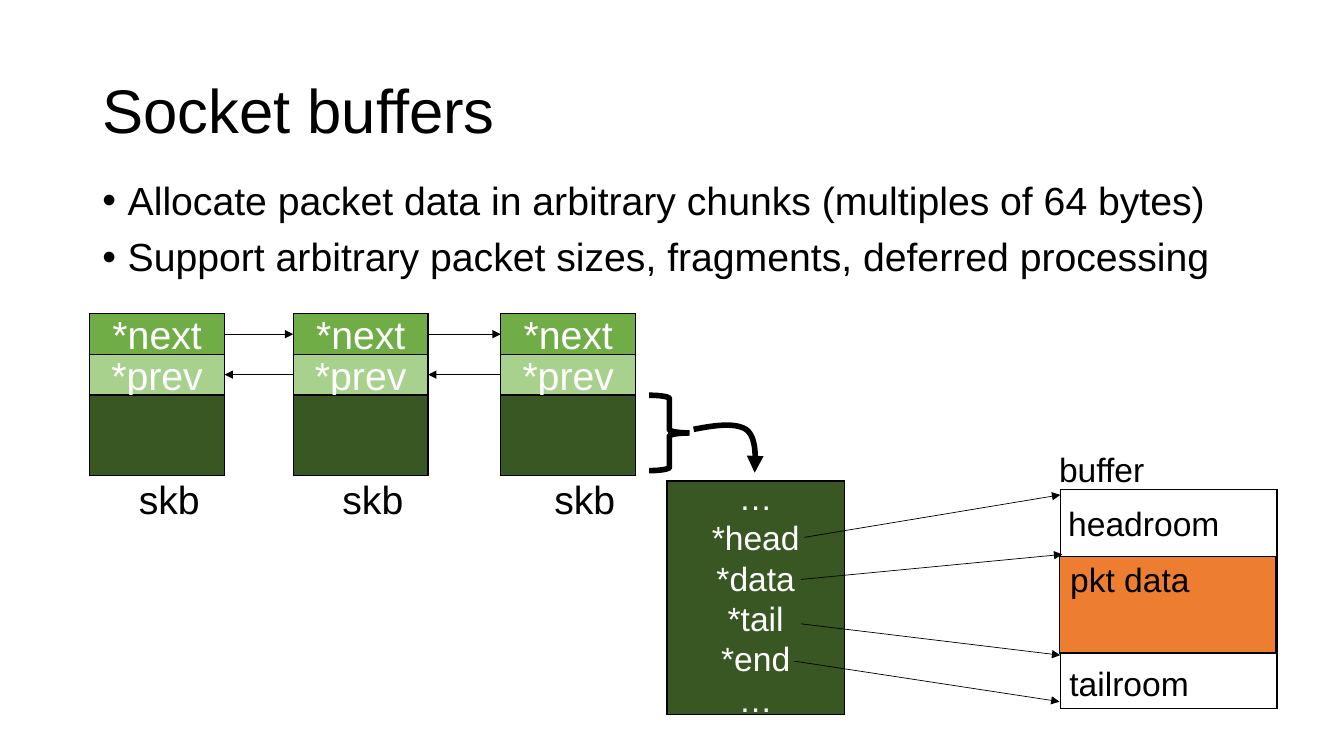
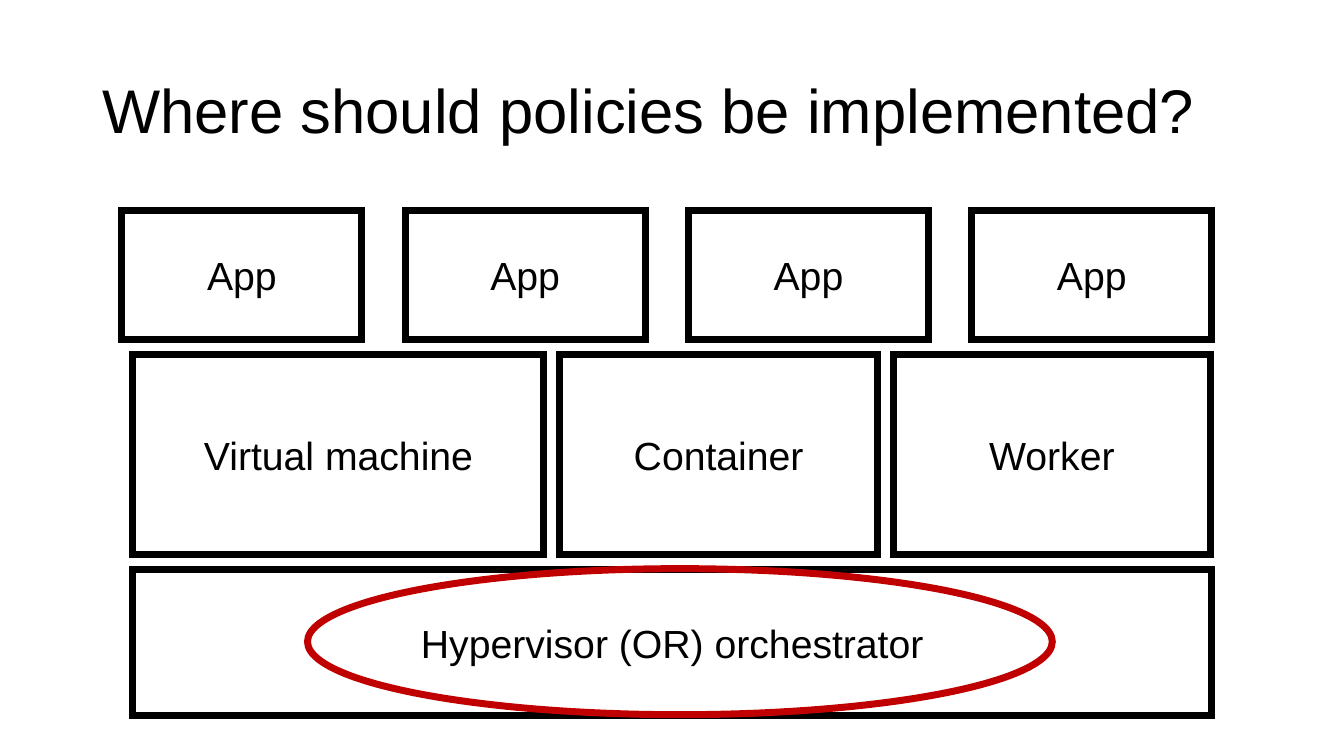
"""Build two slides: socket buffer structure and where to implement policies."""
from lxml.etree import SubElement
from pptx import Presentation
from pptx.dml.color import RGBColor
from pptx.enum.shapes import MSO_CONNECTOR, MSO_SHAPE
from pptx.enum.text import MSO_ANCHOR, PP_ALIGN
from pptx.oxml.ns import qn
from pptx.util import Cm, Pt

FONT = "Arial"
COLORS = {
    "black": "000000",
    "white": "FFFFFF",
    "next": "70AD47",
    "prev": "A9D18E",
    "skb": "385723",
    "packet": "ED7D31",
    "highlight": "C00000",
}

BUFFER_TITLE = "Socket buffers"
BULLETS = [
    "Allocate packet data in arbitrary chunks (multiples of 64 bytes)",
    "Support arbitrary packet sizes, fragments, deferred processing",
]
SKB_WIDTH = 3.4
SKBS = [(2.26, 3.25), (7.39, 8.38), (12.62, 13.72)]
SKB_PARTS = [("*next", "next", 7.9, 1.03), ("*prev", "prev", 8.93, 1.03), ("", "skb", 9.96, 2.03)]
NEXT_Y, PREV_Y = 8.42, 9.44
POINTERS = ["…", "*head", "*data", "*tail", "*end", "…"]
BUFFER_LABELS = [
    ("buffer", 26.44, 11.18, 2.69),
    ("pkt data", 26.72, 13.97, 3.56),
    ("headroom", 26.67, 12.55, 4.37),
    ("tailroom", 26.7, 16.59, 3.56),
]
POINTER_ARROWS = [
    ((20.27, 13.54), (26.72, 12.47)),
    ((20.19, 14.6), (26.77, 13.97)),
    ((20.19, 15.72), (26.72, 16.51)),
    ((20.02, 16.66), (26.7, 17.68)),
]
CURVE = [
    [(17.48, 10.82), (17.98, 10.72), (18.52, 10.64), (18.8, 10.82)],
    [(18.8, 10.82), (19.05, 11.0), (19.05, 11.46), (19.02, 11.91)],
]
CURVE_STEPS = 12

POLICY_TITLE = "Where should policies be implemented?"
APPS = ["App"] * 4
APP_LEFT, APP_STEP = 3.07, 7.14
RUNTIMES = [("Virtual machine", 10.36), ("Container", 8), ("Worker", 8)]
RUNTIME_LEFT, RUNTIME_GAP = 3.35, 0.4
BASE = "Hypervisor (OR) orchestrator"


def color(name):
    return RGBColor.from_string(COLORS[name])


def write(shape, lines, size, ink="black", align=PP_ALIGN.LEFT, spacing=None):
    frame = shape.text_frame
    frame.text = "\n".join(lines)
    for paragraph in frame.paragraphs:
        paragraph.alignment = align
        if spacing:
            paragraph.line_spacing = spacing
        paragraph.font.name = FONT
        paragraph.font.size = Pt(size)
        paragraph.font.color.rgb = color(ink)


def add_text(slide, lines, box, size, wrap=False, anchor=MSO_ANCHOR.TOP, spacing=None, bullet=None):
    shape = slide.shapes.add_textbox(*map(Cm, box))
    frame = shape.text_frame
    frame.word_wrap = wrap
    frame.vertical_anchor = anchor
    frame.text = "\n".join(lines)
    if bullet:
        for index, paragraph in enumerate(frame.paragraphs):
            properties = paragraph._p.get_or_add_pPr()
            properties.set("marL", str(Cm(0.64)))
            properties.set("indent", str(Cm(-0.64)))
            SubElement(properties, qn("a:buFont"), typeface=FONT)
            SubElement(properties, qn("a:buChar"), char=bullet)
            paragraph.space_before = Pt(10 if index else 0)
    write_in_place(frame, size, spacing)


def write_in_place(frame, size, spacing):
    for paragraph in frame.paragraphs:
        if spacing:
            paragraph.line_spacing = spacing
        paragraph.font.name = FONT
        paragraph.font.size = Pt(size)
        paragraph.font.color.rgb = color("black")


def style_outline(shape, width, ink="black", fill=None):
    shape.shadow.inherit = False
    if fill:
        shape.fill.solid()
        shape.fill.fore_color.rgb = color(fill)
    else:
        shape.fill.background()
    shape.line.color.rgb = color(ink)
    shape.line.width = Pt(width)
    SubElement(shape.line._get_or_add_ln(), qn("a:miter"), lim="800000")


def add_box(slide, box, lines=(), fill=None, width=1, size=28, ink="black",
            kind=MSO_SHAPE.RECTANGLE, outline="black"):
    shape = slide.shapes.add_shape(kind, *map(Cm, box))
    style_outline(shape, width, outline, fill)
    if lines:
        shape.text_frame.vertical_anchor = MSO_ANCHOR.MIDDLE
        write(shape, lines, size, ink, PP_ALIGN.CENTER)


def add_arrowhead(shape):
    SubElement(shape.line._get_or_add_ln(), qn("a:tailEnd"), type="triangle")


def add_arrow(slide, start, end):
    connector = slide.shapes.add_connector(MSO_CONNECTOR.STRAIGHT, *map(Cm, start + end))
    connector.line.color.rgb = color("black")
    connector.line.width = Pt(0.5)
    add_arrowhead(connector)
    SubElement(connector._element.spPr, qn("a:effectLst"))


def bezier_point(controls, t):
    weights = ((1 - t) ** 3, 3 * t * (1 - t) ** 2, 3 * t * t * (1 - t), t ** 3)
    return tuple(Cm(sum(w * value for w, value in zip(weights, axis))) for axis in zip(*controls))


def add_curved_arrow(slide):
    points = [bezier_point(controls, step / CURVE_STEPS)
              for controls in CURVE for step in range(1, CURVE_STEPS + 1)]
    builder = slide.shapes.build_freeform(*bezier_point(CURVE[0], 0))
    builder.add_line_segments(points, close=False)
    curve = builder.convert_to_shape()
    style_outline(curve, 4)
    add_arrowhead(curve)


def add_slide(presentation, title, title_width=29.21):
    slide = presentation.slides.add_slide(presentation.slide_layouts[6])
    add_text(slide, [title], (2.33, 1.02, title_width, 3.68), 44, True, MSO_ANCHOR.MIDDLE, 0.9)
    return slide


def build_buffers(presentation):
    slide = add_slide(presentation, BUFFER_TITLE)
    add_text(slide, BULLETS, (2.33, 4.45, 29.21, 3), 28, True, spacing=0.9, bullet="•")
    for left, label_left in SKBS:
        for text, fill, top, height in SKB_PARTS:
            add_box(slide, (left, top, SKB_WIDTH, height), [text] if text else (), fill, ink="white")
        add_text(slide, ["skb"], (label_left, 11.86, 2.06, 1.45), 28)
    for (left, _), (following, _) in zip(SKBS, SKBS[1:]):
        right = left + SKB_WIDTH
        add_arrow(slide, (right, NEXT_Y), (following, NEXT_Y))
        add_arrow(slide, (following, PREV_Y), (right, PREV_Y))
    add_box(slide, (16.81, 12.12, 4.47, 5.89), POINTERS, "skb", size=24, ink="white")
    add_box(slide, (26.72, 12.34, 5.46, 5.51))
    add_box(slide, (26.7, 14.02, 5.46, 2.44), fill="packet")
    for text, left, top, width in BUFFER_LABELS:
        add_text(slide, [text], (left, top, width, 1.27), 24)
    for start, end in POINTER_ARROWS:
        add_arrow(slide, start, end)
    add_box(slide, (16.36, 9.96, 1.02, 1.9), width=4, kind=MSO_SHAPE.RIGHT_BRACE)
    add_curved_arrow(slide)


def build_policies(presentation):
    slide = add_slide(presentation, POLICY_TITLE, 30)
    add_box(slide, (RUNTIME_LEFT, 14.35, 27.18, 3.68), [BASE], width=5)
    left = RUNTIME_LEFT
    for text, width in RUNTIMES:
        add_box(slide, (left, 8.94, width, 5.03), [text], width=5)
        left += width + RUNTIME_GAP
    for index, text in enumerate(APPS):
        add_box(slide, (APP_LEFT + index * APP_STEP, 5.31, 6.05, 3.25), [text], width=5)
    add_box(slide, (7.75, 14.33, 18.77, 3.68), width=5, kind=MSO_SHAPE.OVAL, outline="highlight")


def main():
    presentation = Presentation()
    presentation.slide_width = Cm(33.87)
    presentation.slide_height = Cm(19.05)
    build_buffers(presentation)
    build_policies(presentation)
    presentation.save("out.pptx")


if __name__ == "__main__":
    main()
